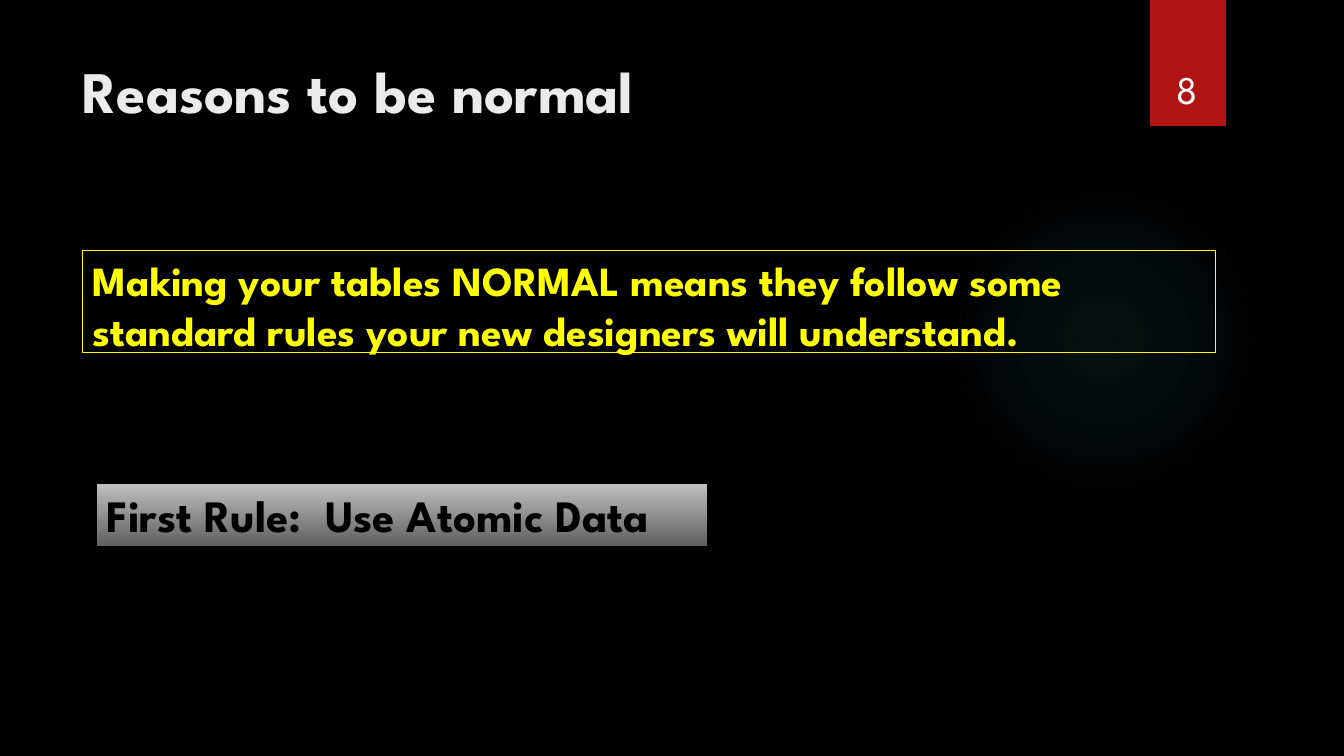
from pptx import Presentation
from pptx.dml.color import RGBColor
from pptx.enum.shapes import MSO_SHAPE
from pptx.enum.text import MSO_ANCHOR, MSO_AUTO_SIZE, PP_ALIGN
from pptx.oxml import parse_xml
from pptx.oxml.ns import nsdecls, qn
from pptx.util import Emu, Pt

TITLE = "Reasons to be normal"
BODY = ("Making your tables NORMAL means they follow some "
        "standard rules your new designers will understand.")
RULE = "First Rule:  Use Atomic Data"
PAGE = "8"

FONT = "League Spartan"
BLACK = RGBColor(0x00, 0x00, 0x00)
WHITE = RGBColor(0xFF, 0xFF, 0xFF)
PALE = RGBColor(0xEB, 0xEB, 0xEB)
YELLOW = RGBColor(0xFF, 0xFF, 0x00)
RED = RGBColor(0xB0, 0x15, 0x13)
TEAL = RGBColor(0x50, 0xB9, 0xC1)
SILVER = RGBColor(0xC1, 0xC1, 0xC1)
GREY = RGBColor(0x5E, 0x5E, 0x5E)

WIDE, HIGH = 1344, 756
GLOW = [(0, 7), (36, 6), (69, 0)]
SPOTS = {
    "glow": (949, 184, 310, 310),
    "flag": (1150, 0, 76, 126),
    "title": (72, 50, 1037, 154),
    "body": (83, 250, 1133, 103),
    "rule": (97, 483, 611, 64),
    "page": (1141, 32, 93, 85),
}


def px(num):
    return Emu(round(num * 914400 / 100.8))


def spot(name):
    return [px(num) for num in SPOTS[name]]


def add_box(slide, name, kind=MSO_SHAPE.RECTANGLE):
    box = slide.shapes.add_shape(kind, *spot(name))
    box.shadow.inherit = False
    box.fill.background()
    box.line.fill.background()
    return box


def write(shape, text, size, color, bold=True,
          align=PP_ALIGN.LEFT, anchor=MSO_ANCHOR.TOP):
    frame = shape.text_frame
    frame.text = text
    frame.word_wrap = True
    frame.auto_size = MSO_AUTO_SIZE.NONE
    frame.vertical_anchor = anchor
    line = frame.paragraphs[0]
    line.alignment = align
    font = line.runs[0].font
    font.name = FONT
    font.size = Pt(size)
    font.bold = bold
    font.color.rgb = color


def add_glow(slide):
    glow = add_box(slide, "glow", MSO_SHAPE.OVAL)
    stops = "".join(
        f'<a:gs pos="{pos * 1000}"><a:srgbClr val="{TEAL}">'
        f'<a:alpha val="{alpha * 1000}"/></a:srgbClr></a:gs>'
        for pos, alpha in GLOW)
    grad = parse_xml(
        f'<a:gradFill {nsdecls("a")} rotWithShape="1">'
        f'<a:gsLst>{stops}</a:gsLst><a:path path="circle">'
        '<a:fillToRect l="50000" t="50000" r="50000" b="50000"/>'
        '</a:path></a:gradFill>')
    props = glow._element.spPr
    props.replace(props.find(qn("a:noFill")), grad)


def main():
    deck = Presentation()
    deck.slide_width, deck.slide_height = px(WIDE), px(HIGH)
    slide = deck.slides.add_slide(deck.slide_layouts[5])
    slide.background.fill.solid()
    slide.background.fill.fore_color.rgb = BLACK

    add_glow(slide)
    flag = add_box(slide, "flag")
    flag.fill.solid()
    flag.fill.fore_color.rgb = RED

    title = slide.shapes.title
    title.left, title.top, title.width, title.height = spot("title")
    write(title, TITLE, 42, PALE)

    body = add_box(slide, "body")
    body.line.color.rgb = YELLOW
    body.line.width = Pt(0.75)
    write(body, BODY, 29.6, YELLOW)

    rule = add_box(slide, "rule")
    rule.fill.gradient()
    rule.fill.gradient_angle = 270
    for stop, color in zip(rule.fill.gradient_stops, (SILVER, GREY)):
        stop.color.rgb = color
    rule.line.color.rgb = BLACK
    rule.line.width = Pt(0.75)
    write(rule, RULE, 32, BLACK)

    page = slide.shapes.add_textbox(*spot("page"))
    write(page, PAGE, 28, WHITE, False, PP_ALIGN.CENTER, MSO_ANCHOR.BOTTOM)

    deck.save("out.pptx")


if __name__ == "__main__":
    main()
